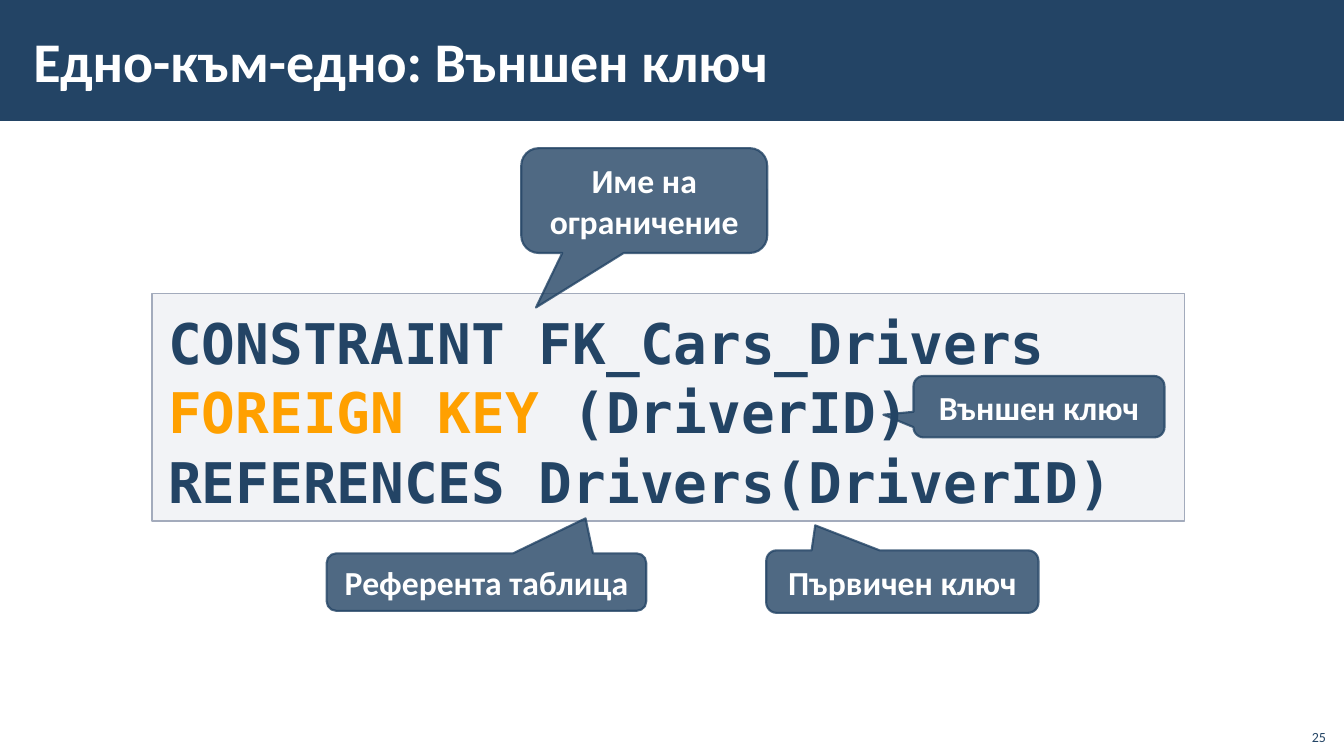
from pptx import Presentation
from pptx.dml.color import RGBColor
from pptx.enum.shapes import MSO_SHAPE
from pptx.enum.text import MSO_ANCHOR, PP_ALIGN
from pptx.oxml.xmlchemy import OxmlElement
from pptx.util import Inches, Pt

COLORS = {"navy": "234465", "orange": "FFA000", "white": "FFFFFF",
          "panel": "C2C7D2", "edge": "A3ABBC"}


def write(shape, lines, size=24, font="Calibri", color="white", bold=True,
          align=PP_ALIGN.LEFT, anchor=MSO_ANCHOR.MIDDLE, inset=(0.1, 0.05), space=None):
    """Fill a shape with lines, each a list of (text, color or None) runs."""
    frame = shape.text_frame
    frame.word_wrap = True
    frame.vertical_anchor = anchor
    frame.margin_left = frame.margin_right = Inches(inset[0])
    frame.margin_top = frame.margin_bottom = Inches(inset[1])
    for i, line in enumerate(lines):
        para = frame.add_paragraph() if i else frame.paragraphs[0]
        para.alignment = align
        para.line_spacing = space
        para.space_before = para.space_after = Pt(0)
        for text, tint in line:
            run = para.add_run()
            run.text = text
            run.font.size, run.font.name, run.font.bold = Pt(size), font, bold
            run.font.color.rgb = RGBColor.from_string(COLORS[tint or color])


def add_box(kind, place, fill, line=None, width=1, opaque=100, edge=100):
    """Add a preset shape with its fill, line and opacity in percent."""
    shape = slide.shapes.add_shape(kind, *map(Inches, place))
    shape.shadow.inherit = False
    shape.fill.solid()
    shape.fill.fore_color.rgb = RGBColor.from_string(COLORS[fill])
    if line:
        shape.line.color.rgb = RGBColor.from_string(COLORS[line])
        shape.line.width = Pt(width)
    else:
        shape.line.fill.background()
    for part, level in ((shape.fill, opaque), (shape.line.fill, edge)):
        if level < 100:
            alpha = OxmlElement("a:alpha")
            alpha.set("val", str(level * 1000))
            part._xPr.find(".//{*}srgbClr").append(alpha)
    return shape


deck = Presentation()
deck.slide_width, deck.slide_height = Inches(13.33), Inches(7.5)
slide = deck.slides.add_slide(deck.slide_layouts[5])

# Title on its bar
title = slide.shapes.title
title.left, title.top = Inches(0.21), Inches(0.11)
title.width, title.height = Inches(10.63), Inches(0.97)
write(title, [[("Едно-към-едно: Външен ключ", None)]], size=40, inset=(0.12, 0.04))
bar = add_box(MSO_SHAPE.RECTANGLE, (0, 0, 13.33, 1.2), "navy")
title.element.addprevious(bar.element)

# Code panel
code = add_box(MSO_SHAPE.RECTANGLE, (1.51, 2.91, 10.24, 2.26), "panel", "edge", opaque=20)
write(code, [[("CONSTRAINT FK_Cars_Drivers", None)],
             [("FOREIGN KEY ", "orange"), ("(DriverID)", None)],
             [("REFERENCES Drivers(DriverID)", None)]],
      size=40, font="DejaVu Sans Mono", color="navy", anchor=MSO_ANCHOR.TOP,
      inset=(0.16, 0.12), space=1.04)

# Callouts: text, place, tip offset
callouts = [
    ("Първичен ключ", (7.6, 5.46, 2.7, 0.62), (-0.32, -0.9)),
    ("Външен ключ", (9.06, 3.73, 2.49, 0.61), (-0.62, 0.13)),
    ("Име на ограничение", (5.17, 1.47, 2.44, 1.04), (-0.44, 1.02)),
    ("Референта таблица", (3.24, 5.49, 3.17, 0.57), (0.31, -1.11)),
]
for text, place, tip in callouts:
    note = add_box(MSO_SHAPE.ROUNDED_RECTANGULAR_CALLOUT, place, "navy", "navy",
                   width=1.5, opaque=80, edge=80)
    note.adjustments[0], note.adjustments[1] = tip
    write(note, [[(text, None)]], align=PP_ALIGN.CENTER)

# Slide number
number = slide.shapes.add_textbox(*map(Inches, (12.85, 7.12, 0.4, 0.32)))
write(number, [[("25", None)]], size=10, color="navy", bold=False,
      align=PP_ALIGN.RIGHT, anchor=MSO_ANCHOR.BOTTOM)

deck.save("out.pptx")
